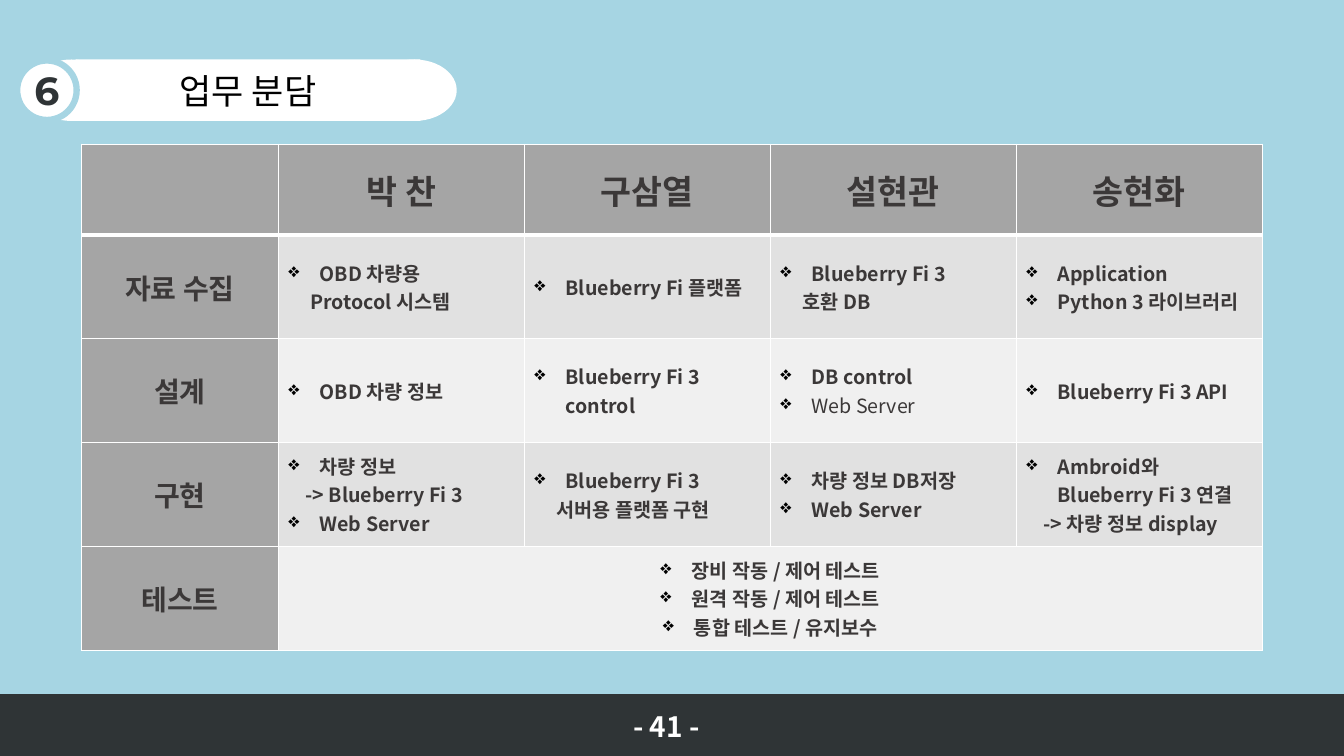
from lxml import etree
from pptx import Presentation, util as u
from pptx.dml.color import RGBColor
from pptx.enum import shapes, text
from pptx.oxml.ns import qn

W, H = 13.33, 7.5
SKY, DARK, WHITE, INK = "A6D5E3", "2F3436", "FFFFFF", "3B3838"
GREY, BANDS = "A5A5A5", ("E1E1E1", "F0F0F0")
KOREAN = "Noto Sans CJK KR"
MID = text.PP_ALIGN.CENTER
NEAR, FAR = 0.17, 0.22

NAMES = ["박 찬", "구삼열", "설현관", "송현화"]
TASKS = {
    "자료 수집": [
        ["OBD 차량용", (FAR, "Protocol 시스템")],
        ["Blueberry Fi 플랫폼"],
        ["Blueberry Fi 3", (FAR, "호환 DB")],
        ["Application", "Python 3 라이브러리"]],
    "설계": [
        ["OBD 차량 정보"],
        ["Blueberry Fi 3 control"],
        ["DB control", "Web Server"],
        ["Blueberry Fi 3 API"]],
    "구현": [
        ["차량 정보", (NEAR, "-> Blueberry Fi 3"), "Web Server"],
        ["Blueberry Fi 3", (FAR, "서버용 플랫폼 구현")],
        ["차량 정보 DB저장", "Web Server"],
        ["Ambroid와 Blueberry Fi 3 연결", (NEAR, "-> 차량 정보 display")]],
    "테스트": [
        ["장비 작동 / 제어 테스트", "원격 작동 / 제어 테스트", "통합 테스트 / 유지보수"]],
}
LIGHT = ("설계", "Web Server")
COLS = [1.95] + [2.44] * len(NAMES)
ROWS = [0.9] + [1.03] * len(TASKS)
BAR = (0.59, 0.61)
PILL = [("OVAL", 3.69, 0.84), ("OVAL", 0.29, 0.84), ("RECTANGLE", 0.75, 3.42)]


def color(code):
    return RGBColor.from_string(code)


def paint(part, code):
    part.fill.solid()
    part.fill.fore_color.rgb = color(code)


def write(para, words, size, code, bold=True, face=KOREAN, align=None):
    para.alignment = align
    run = para.add_run()
    run.text = words
    for key, val in dict(size=u.Pt(size), bold=bold, name=face).items():
        setattr(run.font, key, val)
    run.font.color.rgb = color(code)
    etree.SubElement(run._r.get_or_add_rPr(), qn("a:ea"), typeface=face)


def indent(para, left, mark=False):
    props = para._p.get_or_add_pPr()
    props.set("marL", str(u.Inches(left)))
    props.set("indent", str(u.Inches(-left if mark else 0)))
    if mark:
        tint = etree.SubElement(props, qn("a:buClr"))
        etree.SubElement(tint, qn("a:srgbClr"), val="000000")
        etree.SubElement(props, qn("a:buChar"), char="❖")


def shape(slide, kind, box, fill, edge=None, width=1):
    item = slide.shapes.add_shape(shapes.MSO_SHAPE[kind], *map(u.Inches, box))
    item.shadow.inherit = False
    paint(item, fill)
    if edge:
        item.line.color.rgb = color(edge)
        item.line.width = u.Pt(width)
    else:
        item.line.fill.background()
    frame = item.text_frame
    frame.vertical_anchor = text.MSO_ANCHOR.MIDDLE
    frame.margin_left = frame.margin_right = 0
    return item


def border(cell, sides):
    props = cell._tc.get_or_add_tcPr()
    for side, width in sides.items():
        line = etree.SubElement(props, qn("a:ln" + side), w=str(u.Pt(width)))
        fill = etree.SubElement(line, qn("a:solidFill"))
        etree.SubElement(fill, qn("a:srgbClr"), val=WHITE)


def fill_cell(cell, task, lines, align):
    for i, line in enumerate(lines):
        frame = cell.text_frame
        para = frame.add_paragraph() if i else frame.paragraphs[0]
        mark = isinstance(line, str)
        left, words = (0.31, line) if mark else line
        indent(para, left, mark)
        write(para, words, 14, INK, (task, words) != LIGHT, align=align)


def add_grid(slide):
    box = (0.81, 1.43, sum(COLS), sum(ROWS))
    grid = slide.shapes.add_table(len(ROWS), len(COLS), *map(u.Inches, box)).table
    for col, width in zip(grid.columns, COLS):
        col.width = u.Inches(width)
    for row, height in zip(grid.rows, ROWS):
        row.height = u.Inches(height)
    for r in range(len(ROWS)):
        for c in range(len(COLS)):
            cell = grid.cell(r, c)
            top = 3 if r == 1 else 1
            border(cell, dict(L=1, R=1, T=top, B=1 if r else 3))
            paint(cell, BANDS[(r - 1) % 2] if r and c else GREY)
            cell.vertical_anchor = text.MSO_ANCHOR.MIDDLE
    for c, name in enumerate(NAMES, 1):
        write(grid.cell(0, c).text_frame.paragraphs[0], name, 24, INK, align=MID)
    for r, (task, parts) in enumerate(TASKS.items(), 1):
        write(grid.cell(r, 0).text_frame.paragraphs[0], task, 20, INK, align=MID)
        whole = len(parts) == 1
        if whole:
            grid.cell(r, 1).merge(grid.cell(r, len(NAMES)))
        for c, lines in enumerate(parts, 1):
            fill_cell(grid.cell(r, c), task, lines, MID if whole else None)


def main():
    """Build the task sharing slide."""
    deck = Presentation()
    deck.slide_width, deck.slide_height = u.Inches(W), u.Inches(H)
    slide = deck.slides.add_slide(deck.slide_layouts[6])
    paint(slide.background, SKY)
    top, tall = BAR
    for kind, left, wide in PILL:
        title = shape(slide, kind, (left, top, wide, tall), WHITE)
    write(title.text_frame.paragraphs[0], "업무 분담", 25, "000000", False, align=MID)
    badge = shape(slide, "OVAL", (0.17, 0.6, 0.59, 0.59), WHITE, SKY, 4.5)
    write(badge.text_frame.paragraphs[0], "6", 28, DARK, face="Montserrat", align=MID)
    shape(slide, "RECTANGLE", (0, H - tall, W, tall), DARK, DARK)
    add_grid(slide)
    page = slide.shapes.add_textbox(*map(u.Inches, (6.18, 6.99, 0.98, 0.44)))
    page.text_frame.word_wrap = True
    write(page.text_frame.paragraphs[0], "- 41 -", 20, WHITE)
    deck.save("out.pptx")


if __name__ == "__main__":
    main()
